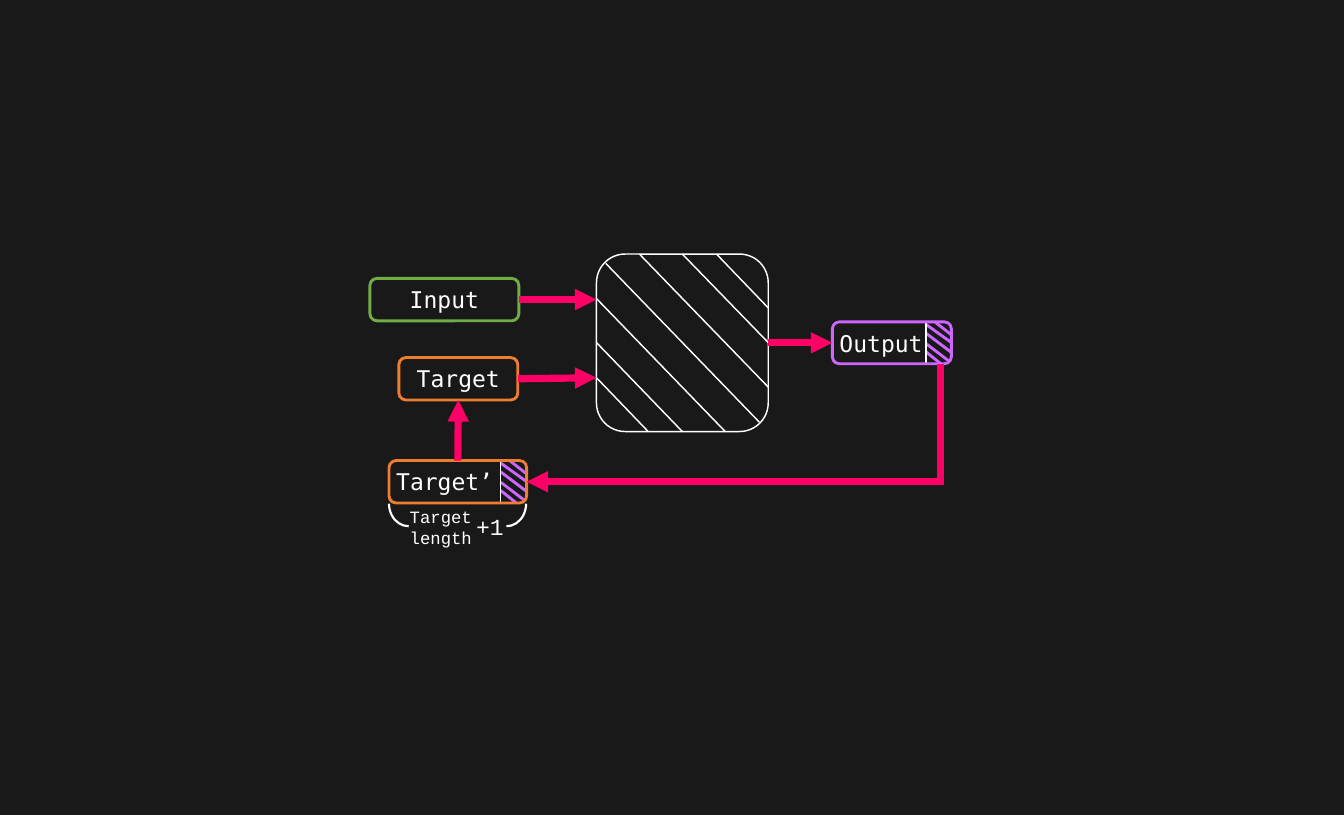
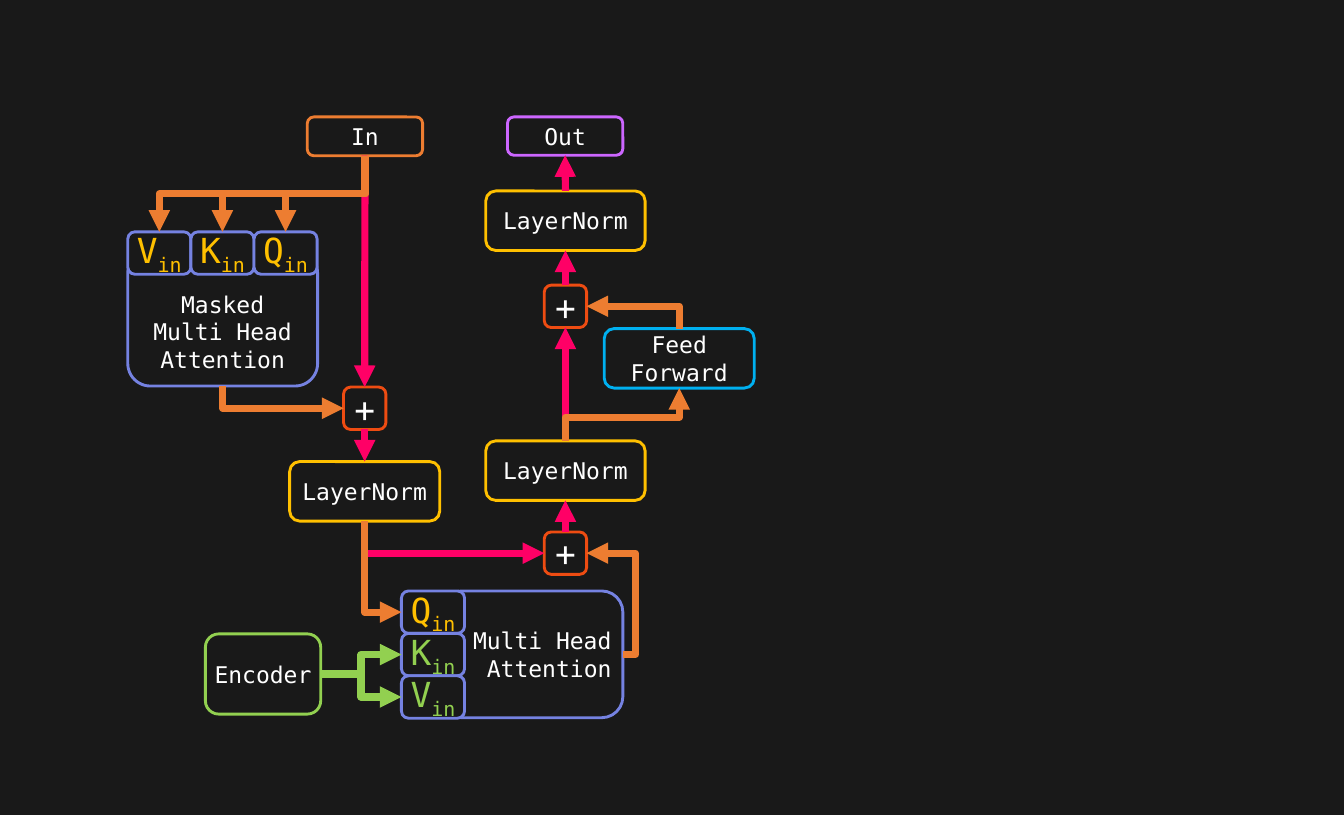
from dataclasses import dataclass

from lxml.etree import SubElement
from pptx import Presentation
from pptx.dml.color import RGBColor
from pptx.enum.shapes import MSO_CONNECTOR as Link, MSO_SHAPE as Preset
from pptx.enum.text import MSO_ANCHOR as Anchor, PP_ALIGN as Align
from pptx.oxml.ns import qn
from pptx.util import Emu, Pt

PX = 9144  # 100 px to the inch
WIDTH, HEIGHT = 2598, 1575


@dataclass(frozen=True)
class Theme:
    back: str = "191919"
    white: str = "FFFFFF"
    pink: str = "FF0066"
    orange: str = "ED7D31"
    purple: str = "CC66FF"
    green: str = "70AD47"
    lime: str = "92D050"
    blue: str = "7582E1"
    sky: str = "00B0F0"
    red: str = "EE4C12"
    yellow: str = "FFC000"
    mono: str = "DejaVu Sans Mono"
    courier: str = "Courier New"
    small: int = 24
    body: int = 32
    symbol: int = 48
    hair: int = 2
    arc: int = 3
    edge: int = 4
    flow: int = 10


T = Theme()
SITES = {"top": 0, "left": 1, "bottom": 2, "right": 3}

# Slide 1: boxes are name, text, (left, top, width, height), line colour, options
LOOP_BOXES = [
    ("model", "", (1153, 491, 332, 343), T.white, {"weight": T.hair}),
    ("target", "Target", (771, 691, 230, 82), T.orange, {}),
    ("output", "Output", (1609, 622, 230, 81), T.purple, {"align": Align.LEFT}),
    ("longer", "Target’", (752, 890, 266, 82), T.orange, {"align": Align.LEFT}),
    ("input", "Input", (715, 538, 288, 82), T.green, {}),
    ("length", "Target length", (771, 974, 162, 88), None,
     {"size": T.small, "font": T.courier}),
    ("plus one", "+1", (904, 973, 86, 88), None, {"font": T.courier}),
]
MODEL_HATCH = [
    (1153, 662, 1319, 834), (1319, 491, 1485, 662), (1153, 577, 1402, 834),
    (1236, 491, 1485, 748), (1171, 509, 1468, 816), (1153, 730, 1253, 834),
    (1385, 491, 1485, 595),
]
TOKEN_CORNERS = [(1790, 622), (968, 890)]
TOKEN_HATCH = [(49, 40, 0, 5), (49, 59, 0, 22), (46, 77, 0, 42),
               (30, 82, 0, 58), (49, 25, 17, 0)]
TOKEN_HEIGHT = 82
LOOP_ARROWS = [
    (("input", "right"), (1153, 579), T.pink),
    (("target", "right"), (1153, 730), T.pink),
    (("model", "right"), ("output", "left"), T.pink),
    (("longer", "top"), ("target", "bottom"), T.pink),
    ((1818, 931), ("longer", "right"), T.pink),
]
FEEDBACK_DROP = (1818, 704, 1818, 938)
# Arc boxes with start and end angle in degrees
BRACE_ARCS = [((752, 930, 76, 87), 90, 180), ((941, 930, 76, 87), 0, 90)]

# Slide 2
DECODER_BOXES = [
    ("in", "In", (594, 226, 223, 75), T.orange, {}),
    ("out", "Out", (981, 226, 223, 74), T.purple, {}),
    ("masked", "Masked Multi Head Attention", (247, 484, 367, 262), T.blue,
     {"inset": 20, "top_inset": 57}),
    ("feed", "Feed Forward", (1168, 635, 290, 115), T.sky, {}),
    ("norm 1", "LayerNorm", (560, 892, 290, 115), T.yellow, {}),
    ("norm 2", "LayerNorm", (939, 852, 308, 115), T.yellow, {}),
    ("norm 3", "LayerNorm", (939, 369, 308, 115), T.yellow, {}),
    ("cross", "Multi Head Attention", (852, 1142, 352, 245), T.blue,
     {"align": Align.RIGHT}),
    ("encoder", "Encoder", (397, 1225, 223, 155), T.lime, {"inset": 5}),
]
SUMS = [("sum 1", 664, 748), ("sum 2", 1052, 1028), ("sum 3", 1052, 551)]
SUM_SIDE = 82
# Rows of ports: owner, start, step, letters with colours
PORT_SIZE = (122, 82)
PORT_ROWS = [
    ("masked", (247, 448), (122, 0),
     [("V", T.yellow), ("K", T.yellow), ("Q", T.yellow)]),
    ("cross", (776, 1142), (0, 82),
     [("Q", T.yellow), ("K", T.lime), ("V", T.lime)]),
]
DECODER_ARROWS = [
    (("in", "bottom"), ("sum 1", "top"), T.pink),
    (("sum 1", "bottom"), ("norm 1", "top"), T.pink),
    (("sum 2", "top"), ("norm 2", "bottom"), T.pink),
    (("norm 2", "top"), ("sum 3", "bottom"), T.pink),
    (("sum 3", "top"), ("norm 3", "bottom"), T.pink),
    (("norm 3", "top"), ("out", "bottom"), T.pink),
]
# Bent arrows: from, to, colour, position of the middle leg (None: one corner)
DECODER_ELBOWS = [
    (("norm 1", "bottom"), ("sum 2", "left"), T.pink, None),
    (("in", "bottom"), ("masked K", "top"), T.orange, 0.5),
    (("in", "bottom"), ("masked V", "top"), T.orange, 0.5),
    (("in", "bottom"), ("masked Q", "top"), T.orange, 0.5),
    (("masked", "bottom"), ("sum 1", "left"), T.orange, None),
    (("norm 1", "bottom"), ("cross Q", "left"), T.orange, None),
    (("cross", "right"), ("sum 2", "right"), T.orange, -0.35),
    (("feed", "top"), ("sum 3", "right"), T.orange, None),
    (("norm 2", "top"), ("feed", "bottom"), T.orange, 0.45),
    (("encoder", "right"), ("cross K", "left"), T.lime, 0.5),
    (("encoder", "right"), ("cross V", "left"), T.lime, 0.5),
]


def rgb(value):
    return RGBColor.from_string(value)


def px(*lengths):
    return [Emu(length * PX) for length in lengths]


def set_line(shape, colour, weight):
    shape.line.color.rgb = rgb(colour)
    shape.line.width = Pt(weight)


def add_span(para, text, colour, size, font):
    span = para.add_run()
    span.text = text
    span.font.name, span.font.size = font, Pt(size)
    span.font.color.rgb = rgb(colour)
    return span


def add_box(page, text, frame, edge, weight=T.edge, fill=None, ink=T.white,
            size=T.body, font=T.mono, align=Align.CENTER, inset=10,
            top_inset=5, sub=""):
    box = page.shapes.add_shape(Preset.ROUNDED_RECTANGLE, *px(*frame))
    box.shadow.inherit = False
    if fill:
        box.fill.solid()
        box.fill.fore_color.rgb = rgb(fill)
    else:
        box.fill.background()
    if edge:
        set_line(box, edge, weight)
    else:
        box.line.fill.background()
    if text:
        body = box.text_frame
        body.word_wrap = True
        body.vertical_anchor = Anchor.MIDDLE
        body.margin_left, body.margin_right, body.margin_top = px(inset, inset, top_inset)
        para = body.paragraphs[0]
        para.alignment = align
        add_span(para, text, ink, size, font)
        if sub:
            span = add_span(para, sub, ink, size, font)
            span.font._element.set("baseline", "-25000")
    return box


def add_boxes(page, rows):
    return {name: add_box(page, text, frame, edge, **options)
            for name, text, frame, edge, options in rows}


def add_line(page, ends, colour, weight, head=False, kind=Link.STRAIGHT):
    line = page.shapes.add_connector(kind, *px(*ends))
    set_line(line, colour, weight)
    if head:
        SubElement(line.line._get_or_add_ln(), qn("a:tailEnd"), type="triangle")
    SubElement(line._element.spPr, qn("a:effectLst"))
    return line


def add_arrow(page, boxes, start, end, colour, kind=Link.STRAIGHT):
    """An end is a point, or the name of a box and one of its sides."""
    glued = [isinstance(place[0], str) for place in (start, end)]
    ends = [(0, 0) if fixed else place for fixed, place in zip(glued, (start, end))]
    arrow = add_line(page, ends[0] + ends[1], colour, T.flow, True, kind)
    if glued[0]:
        arrow.begin_connect(boxes[start[0]], SITES[start[1]])
    if glued[1]:
        arrow.end_connect(boxes[end[0]], SITES[end[1]])
    return arrow


def add_elbow(page, boxes, start, end, colour, middle):
    arrow = add_arrow(page, boxes, start, end, colour, Link.ELBOW)
    left, top, wide, high = arrow.left, arrow.top, arrow.width, arrow.height
    flip_h = arrow.end_x < arrow.begin_x
    flip_v = arrow.end_y < arrow.begin_y
    turn = 0
    if start[1] in ("top", "bottom"):  # first leg is vertical: turn the frame
        turn = 270 if middle is None else 90
        right, up = not flip_h, flip_v
        flip_h, flip_v = (not up, not right) if turn == 270 else (up, right)
        arrow.left = Emu(left + (wide - high) // 2)
        arrow.top = Emu(top + (high - wide) // 2)
        arrow.width, arrow.height = high, wide
    frame = arrow._element.spPr.find(qn("a:xfrm"))
    frame.set("rot", str(turn * 60000))
    frame.set("flipH", str(int(flip_h)))
    frame.set("flipV", str(int(flip_v)))
    outline = arrow._element.spPr.find(qn("a:prstGeom"))
    if middle is None:
        outline.set("prst", "bentConnector2")
    else:
        guides = outline.find(qn("a:avLst"))
        if guides is None:
            guides = SubElement(outline, qn("a:avLst"))
        SubElement(guides, qn("a:gd"), name="adj1",
                   fmla=f"val {round(middle * 100000)}")


def add_page(deck):
    page = deck.slides.add_slide(deck.slide_layouts[6])
    page.background.fill.solid()
    page.background.fill.fore_color.rgb = rgb(T.back)
    return page


def build_loop(page):
    # Hatching of the model and of the new token
    for ends in MODEL_HATCH:
        add_line(page, ends, T.white, T.hair)
    for x, y in TOKEN_CORNERS:
        for x1, y1, x2, y2 in TOKEN_HATCH:
            add_line(page, (x + x1, y + y1, x + x2, y + y2), T.purple, T.edge)
        add_line(page, (x, y, x, y + TOKEN_HEIGHT), T.white, T.hair)
    # Boxes and flow
    boxes = add_boxes(page, LOOP_BOXES)
    add_line(page, FEEDBACK_DROP, T.pink, T.flow)
    for arrow in LOOP_ARROWS:
        add_arrow(page, boxes, *arrow)
    # Brace under the longer target
    for frame, first, last in BRACE_ARCS:
        arc = page.shapes.add_shape(Preset.ARC, *px(*frame))
        arc.shadow.inherit = False
        arc.fill.background()
        set_line(arc, T.white, T.arc)
        arc.adjustments[0], arc.adjustments[1] = first * 0.6, last * 0.6


def build_decoder(page):
    boxes = add_boxes(page, DECODER_BOXES)
    for name, x, y in SUMS:
        boxes[name] = add_box(page, "+", (x, y, SUM_SIDE, SUM_SIDE), T.red,
                              size=T.symbol)
    # Query, key and value ports
    for owner, (x, y), (dx, dy), letters in PORT_ROWS:
        for i, (letter, ink) in enumerate(letters):
            frame = (x + i * dx, y + i * dy, *PORT_SIZE)
            boxes[f"{owner} {letter}"] = add_box(
                page, letter, frame, T.blue, fill=T.back, ink=ink,
                size=T.symbol, sub="in")
    # Flow
    for arrow in DECODER_ARROWS:
        add_arrow(page, boxes, *arrow)
    for elbow in DECODER_ELBOWS:
        add_elbow(page, boxes, *elbow)


def main():
    deck = Presentation()
    deck.slide_width, deck.slide_height = px(WIDTH, HEIGHT)
    for build in (build_loop, build_decoder):
        build(add_page(deck))
    deck.save("out.pptx")


if __name__ == "__main__":
    main()
